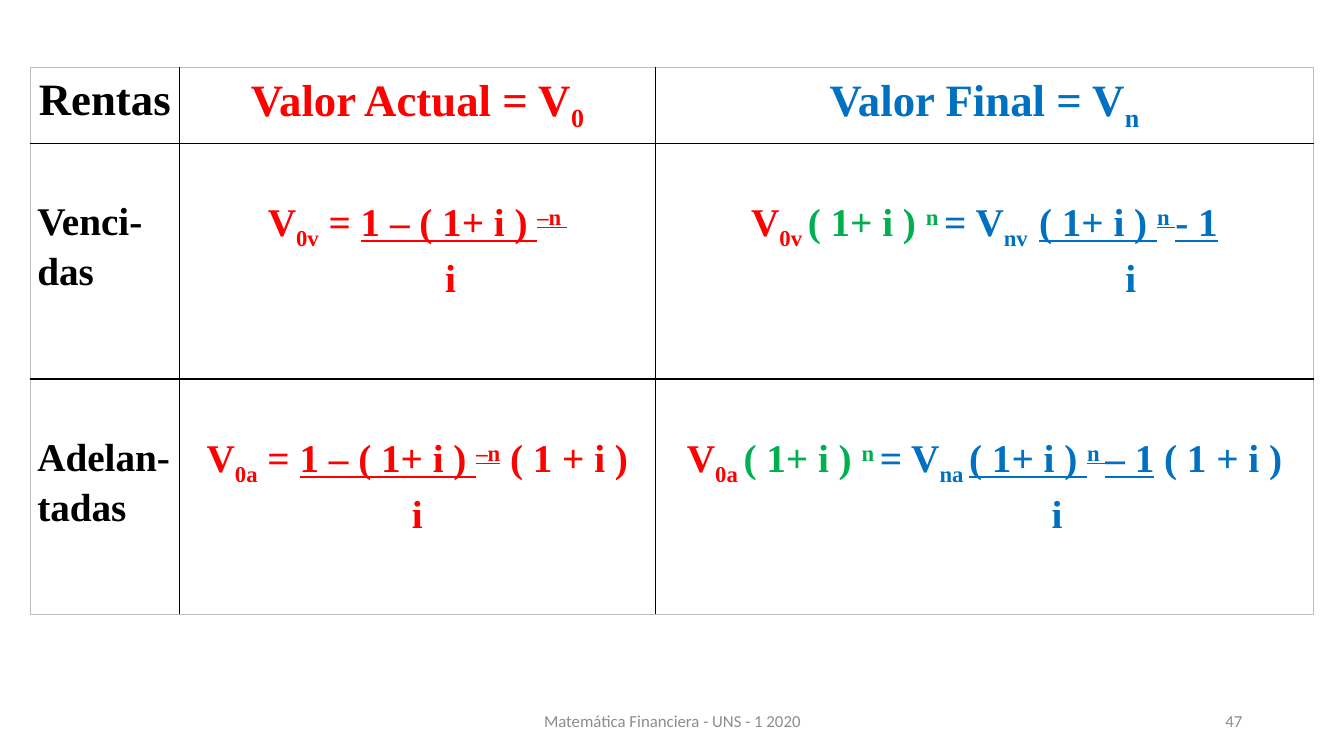
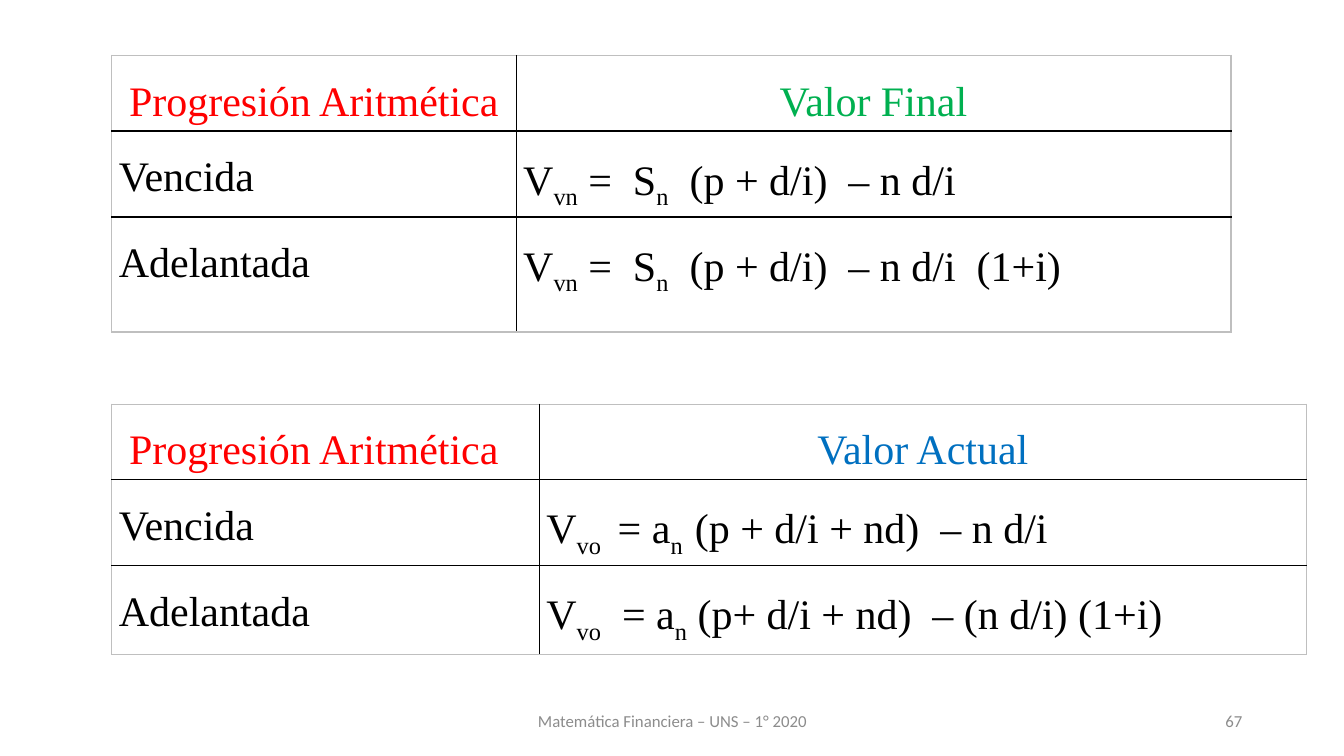
import pptx
import pptx.util
import pptx.dml.color
import pptx.enum.text
import pptx.oxml
import pptx.oxml.ns

Inches, Pt = pptx.util.Inches, pptx.util.Pt
RGBColor = pptx.dml.color.RGBColor
ALIGN = pptx.enum.text.PP_ALIGN
LEFT, CENTER, RIGHT = ALIGN.LEFT, ALIGN.CENTER, ALIGN.RIGHT

COLORS = {
    "black": "000000",
    "red": "FF0000",
    "blue": "0070C0",
    "green": "00B050",
    "footer": "8C8C8C",
    "frame": "BFBFBF",
}
BASELINES = {"_": "-25000", "^": "30000"}


def write_paragraph(paragraph, runs, size, font="Times New Roman", align=LEFT,
                    indent=0, spacing=1.0, bold=False):
    """Runs are (text, colour, marks); marks: _ subscript, ^ superscript, u underline."""
    paragraph.alignment = align
    paragraph.line_spacing = spacing
    if indent:
        properties = paragraph._p.get_or_add_pPr()
        properties.set("marL", str(Inches(indent)))
        properties.set("indent", "0")
    for text, color, marks in runs:
        run = paragraph.add_run()
        run.text = text
        run.font.name = font
        run.font.size = Pt(size)
        run.font.bold = bold
        run.font.underline = "u" in marks
        run.font.color.rgb = RGBColor.from_string(COLORS[color])
        for mark, baseline in BASELINES.items():
            if mark in marks:
                run._r.get_or_add_rPr().set("baseline", baseline)


def add_ruled_table(slide, left, top, widths, heights, rows, sizes, spacing,
                    bold=False, body_margin=0):
    """Cells are (align, paragraphs); paragraphs are (indent, runs)."""
    frame = slide.shapes.add_table(
        len(heights), len(widths), Inches(left), Inches(top),
        Inches(sum(widths)), Inches(sum(heights)))
    table = frame.table
    table.first_row = table.horz_banding = False
    for column, width in zip(table.columns, widths):
        column.width = Inches(width)
    for r, (height, row) in enumerate(zip(heights, rows)):
        table.rows[r].height = Inches(height)
        for c, (align, paragraphs) in enumerate(row):
            cell = table.cell(r, c)
            cell.margin_left = cell.margin_right = Inches(0.07)
            cell.margin_top = Inches(body_margin if r else 0)
            cell.margin_bottom = 0
            for i, (indent, runs) in enumerate(paragraphs):
                text_frame = cell.text_frame
                paragraph = text_frame.add_paragraph() if i else text_frame.paragraphs[0]
                write_paragraph(paragraph, runs, sizes[min(r, 1)], align=align,
                                indent=indent, spacing=spacing, bold=bold)
            outer_edges = {"L": c == 0, "R": c == len(widths) - 1,
                           "T": r == 0, "B": r == len(heights) - 1}
            properties = cell._tc.get_or_add_tcPr()
            for side, is_outer in outer_edges.items():
                color = COLORS["frame" if is_outer else "black"]
                properties.append(pptx.oxml.parse_xml(
                    f'<a:ln{side} {pptx.oxml.ns.nsdecls("a")} w="{Pt(1)}">'
                    f'<a:solidFill><a:srgbClr val="{color}"/></a:solidFill></a:ln{side}>'))
            cell.fill.background()


prs = pptx.Presentation()
prs.slide_width, prs.slide_height = Inches(13.33), Inches(7.5)
blank_layout = prs.slide_layouts[6]

# Slides and their footers
footers = [("Matemática Financiera - UNS - 1 2020", "47"),
           ("Matemática Financiera – UNS – 1° 2020", "67")]
slides = []
for course, number in footers:
    slide = prs.slides.add_slide(blank_layout)
    slides.append(slide)
    for text, left, width, align in [(course, 4.42, 4.5, CENTER), (number, 9.42, 3, RIGHT)]:
        footer = slide.shapes.add_textbox(Inches(left), Inches(6.95), Inches(width), Inches(0.4))
        footer.text_frame.word_wrap = True
        footer.text_frame.vertical_anchor = pptx.enum.text.MSO_ANCHOR.MIDDLE
        write_paragraph(footer.text_frame.paragraphs[0], [(text, "footer", "")],
                        12, font="Calibri", align=align)
annuities_slide, progressions_slide = slides

# Annuities: present and final value
annuity_rows = [[
    (CENTER, [(0, [("Rentas", "black", "")])]),
    (CENTER, [(0, [("Valor Actual = V", "red", ""), ("0", "red", "_")])]),
    (CENTER, [(0, [("Valor Final = V", "blue", ""), ("n", "blue", "_")])]),
]]
due_factor = " ( 1 + i )"
annuities = [
    # label, index, present exponent, present tail, final index, final numerator end,
    # final tail, indents of the two denominators
    ("Venci-das", "v", "–n ", "", "nv  ", "- 1", "", 0.66, 2.9),
    ("Adelan-tadas", "a", "–n", due_factor, "na ", "– 1", due_factor, 0, 1.44),
]
for (label, index, exponent, present_tail, final_index, minus_one, final_tail,
     present_indent, final_indent) in annuities:
    present_value = [("V", "red", ""), ("0" + index, "red", "_"), (" = ", "red", ""),
                     ("1 – ( 1+ i ) ", "red", "u"), (exponent, "red", "^u")]
    final_value = [("V", "red", ""), (f"0{index} ", "red", "_"),
                   ("( 1+ i ) ", "green", ""), ("n ", "green", "^"),
                   ("= V", "blue", ""), (final_index, "blue", "_"),
                   ("( 1+ i ) ", "blue", "u"), ("n ", "blue", "^u"),
                   (minus_one, "blue", "u")]
    if present_tail:
        present_value.append((present_tail, "red", ""))
        final_value.append((final_tail, "blue", ""))
    annuity_rows.append([
        (LEFT, [(0, [(label, "black", "")])]),
        (CENTER, [(0, present_value), (present_indent, [("i", "red", "")])]),
        (CENTER, [(0, final_value), (final_indent, [("i", "blue", "")])]),
    ])
add_ruled_table(annuities_slide, 0.3, 0.67, [1.48, 4.72, 6.53], [0.75, 2.34, 2.34],
                annuity_rows, sizes=(32, 28), spacing=1.15, bold=True, body_margin=0.51)

# Arithmetic progressions: one table per value
progressions = [
    ("Valor Final", "green", 0.55, [4.01, 7.09], [0.69, 0.84, 1.14],
     [("vn", " =  S", "n", "  (p + d/i)  – n d/i"),
      ("vn", " =  S", "n", "  (p + d/i)  – n d/i  (1+i)")]),
    ("Valor Actual", "blue", 4.01, [4.24, 7.61], [0.69, 0.79, 0.88],
     [("vo ", " = a", "n  ", "(p + d/i + nd)  – n d/i"),
      ("vo", "  = a", "n", " (p+ d/i + nd)  – (n d/i) (1+i)")]),
]
for heading, color, top, widths, heights, formulas in progressions:
    progression_rows = [[
        (LEFT, [(0.1, [("Progresión Aritmética", "red", "")])]),
        (CENTER, [(0, [(heading, color, "")])]),
    ]]
    for label, (index, equals, term, rest) in zip(["Vencida", "Adelantada"], formulas):
        formula = [("V", "black", ""), (index, "black", "_"), (equals, "black", ""),
                   (term, "black", "_"), (rest, "black", "")]
        progression_rows.append([(LEFT, [(0, [(label, "black", "")])]),
                                 (LEFT, [(0, formula)])])
    add_ruled_table(progressions_slide, 1.11, top, widths, heights,
                    progression_rows, sizes=(30, 30), spacing=1.5)

prs.save("out.pptx")
